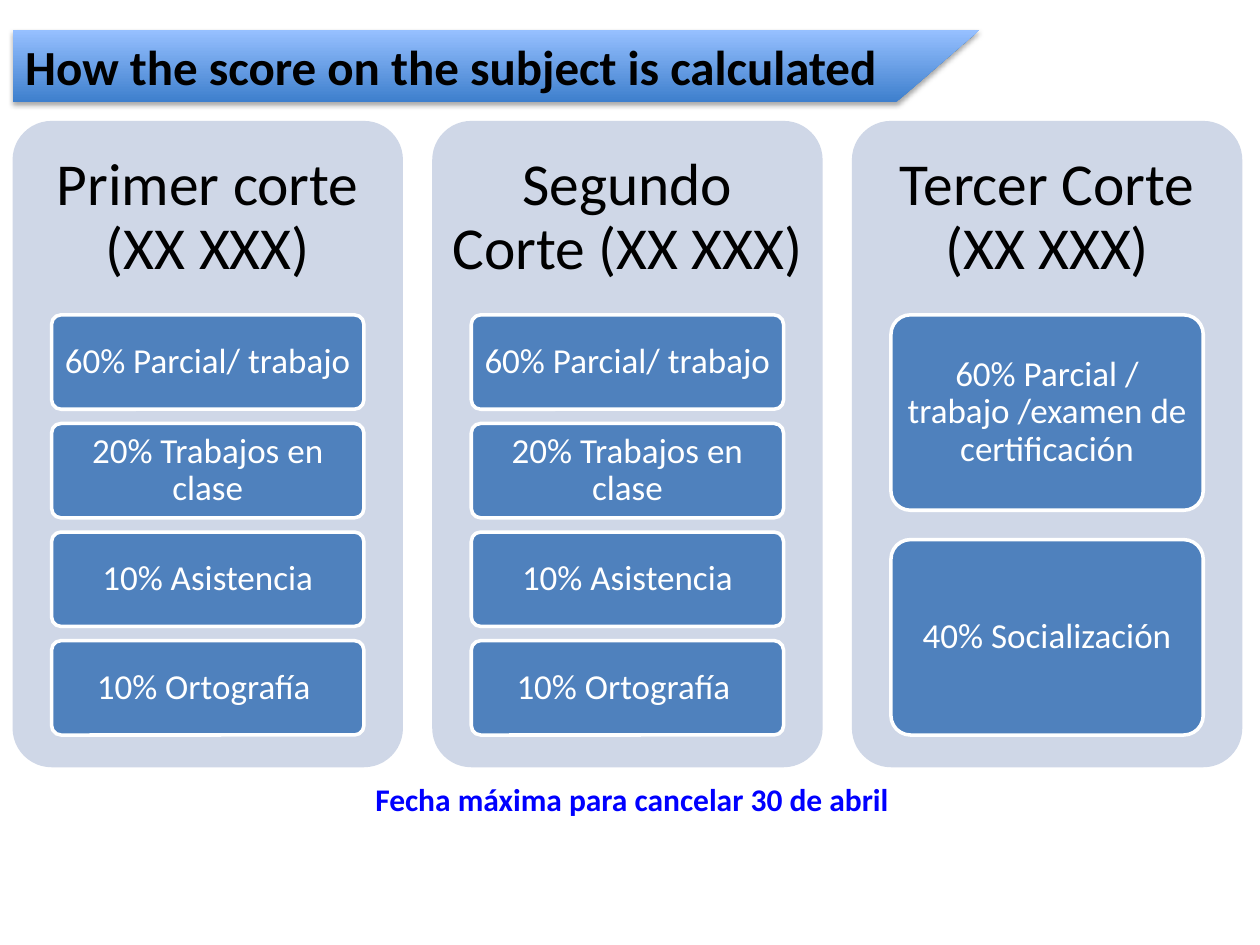
from lxml.etree import SubElement
from pptx import Presentation
from pptx.dml.color import RGBColor
from pptx.enum.shapes import MSO_SHAPE as SHAPE
from pptx.enum.text import MSO_ANCHOR as ANCHOR, MSO_AUTO_SIZE as AUTO, PP_ALIGN as ALIGN
from pptx.oxml.ns import qn
from pptx.util import Inches, Pt

COLORS = {"panel": "CFD7E7", "item": "4F81BD", "white": "FFFFFF", "black": "000000",
          "note": "0000FF", "dark": "3E7FCD", "light": "96C0FF"}
ITEMS = ["60% Parcial/ trabajo ", "20% Trabajos en clase", "10% Asistencia", "10% Ortografía "]
TERMS = [("Primer corte (XX XXX)", ITEMS),
         ("Segundo Corte (XX XXX)", ITEMS),
         ("Tercer Corte (XX XXX)",
          ["60% Parcial / trabajo /examen de certificación", "40% Socialización"])]
COL_GAP, ITEM_GAP = 0.075, 0.15


def rgb(name):
    """Return the named colour."""
    return RGBColor.from_string(COLORS[name])


def inches(*box):
    """Convert lengths in inches to slide units."""
    return [Inches(v) for v in box]


def write(sp, text, size, color, align=ALIGN.CENTER, bold=False, spacing=0.9,
          margins=(0.06, 0.04), anchor=ANCHOR.MIDDLE):
    """Fill a shape with one formatted paragraph."""
    tf = sp.text_frame
    tf.auto_size, tf.word_wrap, tf.vertical_anchor = AUTO.NONE, True, anchor
    tf.margin_left = tf.margin_right = Inches(margins[0])
    tf.margin_top = tf.margin_bottom = Inches(margins[1])
    p = tf.paragraphs[0]
    p.text, p.alignment, p.line_spacing = text, align, spacing
    p.font.name, p.font.size, p.font.bold = "Calibri", Pt(size), bold
    p.font.color.rgb = rgb(color)


def add_round(s, box, fill, line=None):
    """Add a flat rounded rectangle."""
    sp = s.shapes.add_shape(SHAPE.ROUNDED_RECTANGLE, *inches(*box))
    sp.adjustments[0] = 0.1
    sp.shadow.inherit = False
    sp.fill.solid()
    sp.fill.fore_color.rgb = rgb(fill)
    if line:
        sp.line.color.rgb, sp.line.width = rgb(line), Pt(2)
    else:
        sp.line.fill.background()
    return sp


def add_shadow(sp):
    """Give a shape a soft shadow falling straight down."""
    sp.shadow.inherit = False
    effects = sp._element.spPr.find(qn("a:effectLst"))
    shadow = SubElement(effects, qn("a:outerShdw"), blurRad=str(Pt(3.1)), dist=str(Pt(1.8)),
                        dir="5400000", rotWithShape="0")
    color = SubElement(shadow, qn("a:srgbClr"), val=COLORS["black"])
    SubElement(color, qn("a:alpha"), val="35000")


def add_banner(s, box, text):
    """Draw the slanted banner and lay the title over it."""
    x, y, w, h = box
    slant = w - 1.15 * h
    pen = s.shapes.build_freeform(Inches(x), Inches(y))
    pen.add_line_segments([inches(x + w, y), inches(x + slant, y + h), inches(x, y + h)])
    sp = pen.convert_to_shape()
    sp.fill.gradient()
    sp.fill.gradient_angle = 90
    for stop, name in zip(sp.fill.gradient_stops, ("dark", "light")):
        stop.color.rgb = rgb(name)
    sp.line.fill.background()
    add_shadow(sp)
    title = s.shapes.title
    title.left, title.top, title.width, title.height = inches(*box)
    write(title, text, 28, "black", ALIGN.LEFT, True, 1, (0.1, 0.05))
    s.shapes._spTree.append(title._element)


def add_term(s, box, heading, items):
    """Draw one term: a panel, its heading and its evenly spaced items."""
    x, y, w, h = box
    add_round(s, box, "panel")
    head = s.shapes.add_textbox(*inches(x, y, w, 0.3 * h))
    write(head, heading, 34, "black", margins=(0.14, 0.14))
    n = len(items)
    item_h = 0.65 * h / (n + ITEM_GAP * (n - 1))
    for i, text in enumerate(items):
        top = y + 0.3 * h + i * item_h * (1 + ITEM_GAP)
        sp = add_round(s, (x + 0.1 * w, top, 0.8 * w, item_h), "item", "white")
        write(sp, text, 20, "white")


def add_terms(s, box, terms):
    """Lay the terms out in equal columns."""
    x, y, w, h = box
    n = len(terms)
    col_w = w / (n + COL_GAP * (n - 1))
    for i, (heading, items) in enumerate(terms):
        add_term(s, (x + i * col_w * (1 + COL_GAP), y, col_w, h), heading, items)


def add_note(s, box, text):
    """Add the deadline note."""
    sp = s.shapes.add_textbox(*inches(*box))
    write(sp, text, 18, "note", ALIGN.LEFT, True, 1, (0.1, 0.05), ANCHOR.TOP)


def main():
    """Build and save the slide."""
    prs = Presentation()
    prs.slide_width, prs.slide_height = inches(10, 7.5)
    s = prs.slides.add_slide(prs.slide_layouts[5])
    add_banner(s, (0.1, 0.24, 7.67, 0.57), "How the score on the subject is calculated")
    add_terms(s, (0.1, 0.96, 9.76, 5.13), TERMS)
    add_note(s, (2.88, 6.14, 4.31, 0.4), "Fecha máxima para cancelar 30 de abril")
    prs.save("out.pptx")


if __name__ == "__main__":
    main()
